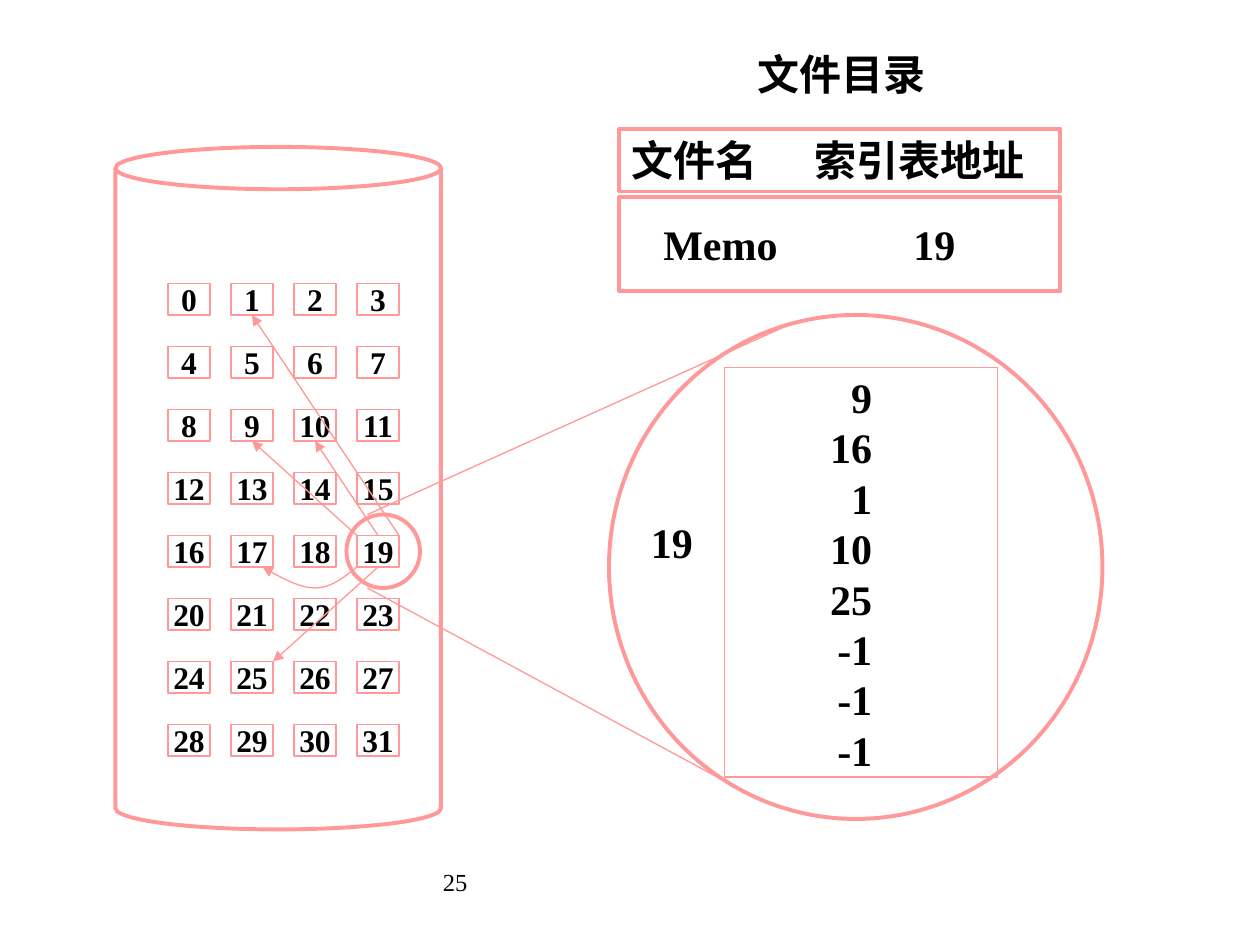
import pptx
import pptx.dml.color
import pptx.enum.shapes
import pptx.enum.text
import pptx.oxml.ns
import pptx.util
from lxml import etree

COLORS = {"line": "FF9999", "text": "000000"}
FONT = "Times New Roman"
THIN, THICK = 0.75, 2.25
COLS, ROWS = 120, 90
BLOCK_COLS, BLOCK_ROWS = 4, 8
BLOCKS = {"left": 16, "top": 27, "step": 6, "width": 4, "height": 3}

SHAPE = pptx.enum.shapes.MSO_SHAPE
ALIGN = pptx.enum.text.PP_ALIGN
ANCHOR = pptx.enum.text.MSO_ANCHOR

OUTLINES = [
    (SHAPE.CAN, (11, 14, 31, 65), THICK),
    (SHAPE.RECTANGLE, (59, 12.25, 42, 6), THICK),
    (SHAPE.RECTANGLE, (59, 18.75, 42, 9), THICK),
    (SHAPE.OVAL, (33, 49, 7, 7), THICK),
    (SHAPE.RECTANGLE, (69, 35, 26, 39), THIN),
    (SHAPE.OVAL, (58, 30, 47, 48), THICK),
]
INDEX = ["9", "16", "1", "10", "25", "-1", "-1", "-1"]
BOLD = {"size": 24, "bold": True}
TEXTS = [
    (["文件目录"], (71, 4, 18.4, 6), BOLD, {"wrap": False}),
    (["文件名\t索引表地址"], (59, 12.25, 42, 6), BOLD,
     {"tab": 17.4, "anchor": ANCHOR.MIDDLE}),
    (["Memo\t19"], (62, 20.25, 35, 6), BOLD, {"tab": 23.8}),
    (INDEX, (77.75, 34.8, 6.5, 39.6), BOLD,
     {"align": ALIGN.RIGHT, "spacing": 28.8}),
    (["19"], (60.8, 48.6, 6.4, 6), BOLD, {"wrap": False}),
    (["25"], (41, 82, 38, 6), {"size": 14, "bold": False}, {}),
]
LINES = [
    ((38, 51), (24, 30), True),
    ((36, 51), (30, 42), True),
    ((34, 51), (24, 42), True),
    ((36, 54), (26, 63), True),
    ((35, 49), (75, 31), False),
    ((35, 56), (72, 76), False),
]
CURVES = [
    [(34, 54), (32.75, 55), (31.5, 56), (30, 56)],
    [(30, 56), (28.5, 56), (26.75, 55), (25, 54)],
]
CURVE_STEPS = 12

prs = pptx.Presentation()
prs.slide_width = pptx.util.Inches(10)
prs.slide_height = pptx.util.Inches(7.5)
s = prs.slides.add_slide(prs.slide_layouts[6])
UNIT = prs.slide_width / COLS


def grid(values):
    return [round(v * UNIT) for v in values]


def color(name):
    return pptx.dml.color.RGBColor.from_string(COLORS[name])


def draw_line(sp, width, arrow=False):
    sp.line.color.rgb = color("line")
    sp.line.width = pptx.util.Pt(width)
    if arrow:
        ln = sp.line._get_or_add_ln()
        etree.SubElement(ln, pptx.oxml.ns.qn("a:tailEnd"), type="triangle")


def outline(sp, width, arrow=False):
    sp.shadow.inherit = False
    sp.fill.background()
    draw_line(sp, width, arrow)


def write(sp, texts, font, align=ALIGN.LEFT, anchor=ANCHOR.TOP,
          wrap=True, tab=None, spacing=None):
    tf = sp.text_frame
    tf.word_wrap = wrap
    tf.vertical_anchor = anchor
    values = {"name": FONT, **font, "size": pptx.util.Pt(font["size"])}
    for i, text in enumerate(texts):
        p = tf.add_paragraph() if i else tf.paragraphs[0]
        p.alignment = align
        if spacing:
            p.line_spacing = pptx.util.Pt(spacing)
        if tab:
            tabs = etree.SubElement(p._p.get_or_add_pPr(), pptx.oxml.ns.qn("a:tabLst"))
            etree.SubElement(tabs, pptx.oxml.ns.qn("a:tab"), pos=str(round(tab * UNIT)), algn="l")
        r = p.add_run()
        r.text = text
        for key, value in values.items():
            setattr(r.font, key, value)
        r.font.color.rgb = color("text")


def bezier(points, t):
    weights = ((1 - t) ** 3, 3 * t * (1 - t) ** 2, 3 * t * t * (1 - t), t ** 3)
    return tuple(sum(w * v for w, v in zip(weights, axis)) for axis in zip(*points))


blocks = s.shapes.add_group_shape()
for n in range(BLOCK_COLS * BLOCK_ROWS):
    row, col = divmod(n, BLOCK_COLS)
    box = (BLOCKS["left"] + col * BLOCKS["step"], BLOCKS["top"] + row * BLOCKS["step"],
           BLOCKS["width"], BLOCKS["height"])
    sp = blocks.shapes.add_shape(SHAPE.RECTANGLE, *grid(box))
    outline(sp, THIN)
    write(sp, [str(n)], {"size": 18, "bold": True}, ALIGN.CENTER, ANCHOR.MIDDLE, False)

for kind, box, width in OUTLINES:
    sp = s.shapes.add_shape(kind, *grid(box))
    outline(sp, width)
    if kind == SHAPE.CAN:
        sp.adjustments[0] = 0.13

for texts, box, font, options in TEXTS:
    write(s.shapes.add_textbox(*grid(box)), texts, font, **options)

for start, end, arrow in LINES:
    sp = s.shapes.add_connector(pptx.enum.shapes.MSO_CONNECTOR.STRAIGHT, *grid(start + end))
    draw_line(sp, THIN, arrow)
    etree.SubElement(sp._element.spPr, pptx.oxml.ns.qn("a:effectLst"))

points = [grid(bezier(curve, i / CURVE_STEPS))
          for curve in CURVES for i in range(1, CURVE_STEPS + 1)]
builder = s.shapes.build_freeform(*grid(CURVES[0][0]))
builder.add_line_segments(points, close=False)
outline(builder.convert_to_shape(), THIN, True)

prs.save("out.pptx")
